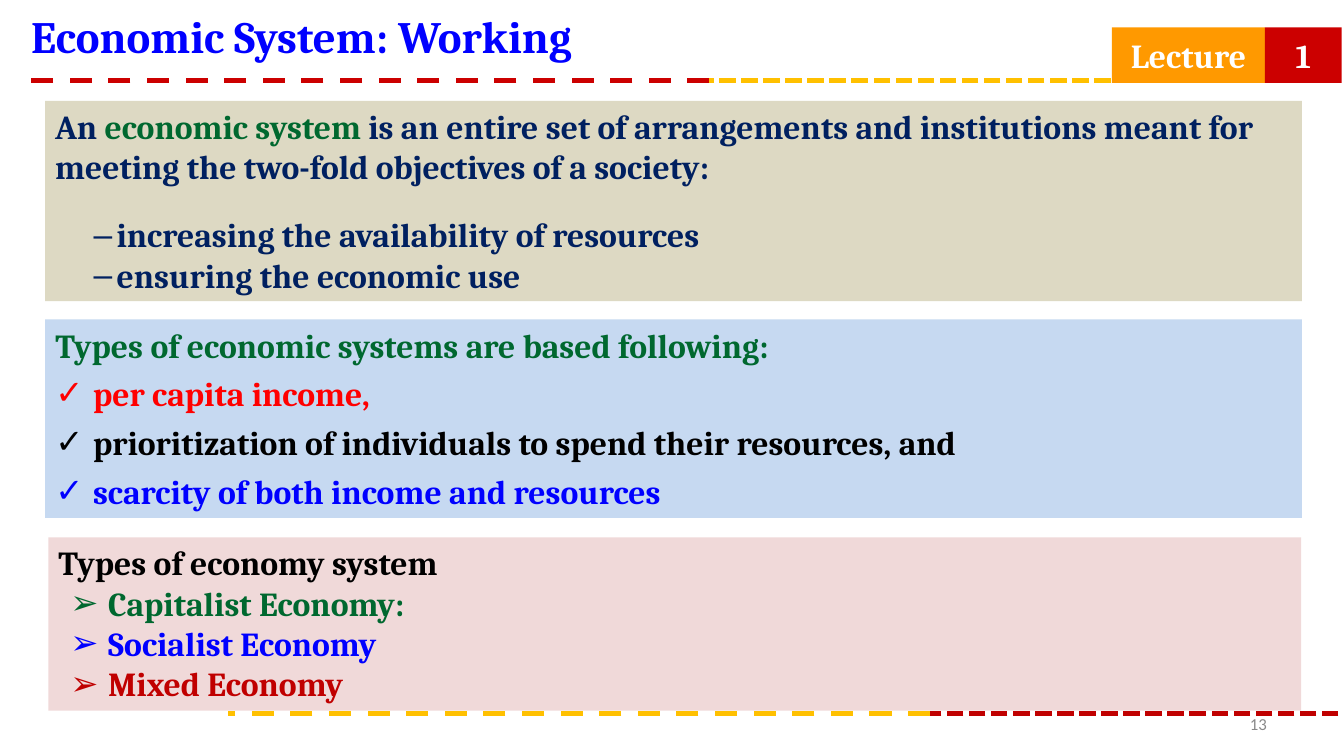
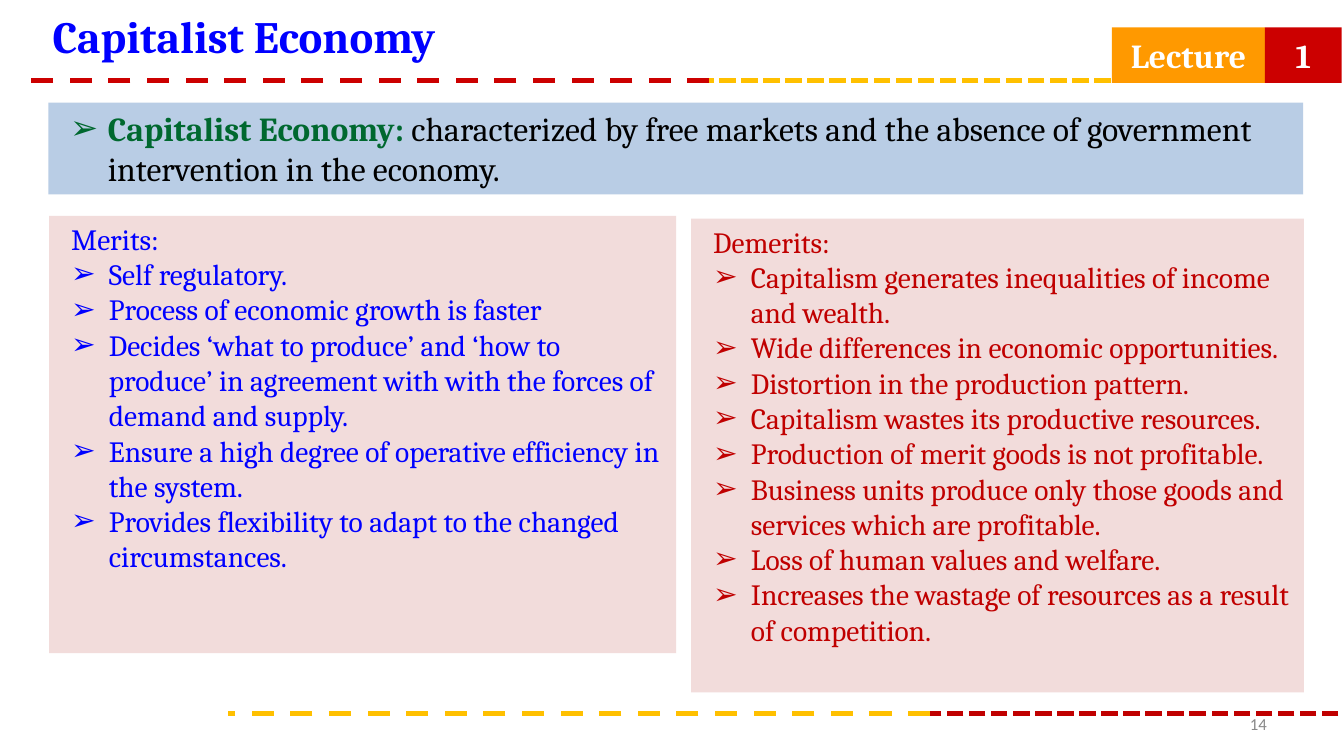
"""Build two lecture slides on economic systems."""
from dataclasses import dataclass

from lxml.etree import SubElement
from pptx import Presentation
from pptx.dml.color import RGBColor
from pptx.enum.dml import MSO_LINE
from pptx.enum.shapes import MSO_CONNECTOR, MSO_SHAPE
from pptx.enum.text import MSO_ANCHOR as Anchor, MSO_AUTO_SIZE, PP_ALIGN as Align
from pptx.oxml.ns import qn
from pptx.util import Cm, Pt


@dataclass(frozen=True)
class Theme:
    """Colours, fonts and type sizes shared by the slides."""
    blue: str = "0000FF"
    green: str = "00682F"
    navy: str = "002060"
    red: str = "FF0000"
    crimson: str = "CC0000"
    dark_red: str = "C00000"
    orange: str = "FF9900"
    gold: str = "FFC000"
    black: str = "000000"
    white: str = "FFFFFF"
    grey: str = "898989"
    sand: str = "DDD9C3"
    pale_blue: str = "C6D9F1"
    sky: str = "B9CDE5"
    pink: str = "F0D9D9"
    rose: str = "F2DCDB"
    font: str = "Cambria"
    number_font: str = "Calibri"
    title_size: float = 32
    text_size: float = 24
    list_size: float = 21
    number_size: float = 12
    rule_width: float = 3.94


@dataclass(frozen=True)
class Marker:
    """Bullet character with its text indent and hanging width in centimetres."""
    char: str = ""
    left: float = 0
    hang: float = 0


@dataclass(frozen=True)
class Line:
    """One paragraph: spans of (text, colour, bold), a marker and space before."""
    spans: tuple
    marker: Marker = Marker()
    before: float = 0


THEME = Theme()
LABEL = Marker(left=0.3)
CHECK = Marker("✓", 0.95, 0.95)
ARROW = Marker("➢", 1.25, 0.95)
DASH = Marker("–", 1.55, 0.58)


def colour(code):
    """Return the colour object for a hex code."""
    return RGBColor.from_string(code)


def plain(text, code, marker=Marker(), bold=True, before=0):
    """Return a line made of a single span."""
    return Line(((text, code, bold),), marker, before)


def format_span(span, size, code, bold=False, font=THEME.font):
    """Set the type of a run."""
    span.font.name = font
    span.font.size = Pt(size)
    span.font.bold = bold
    span.font.color.rgb = colour(code)


def format_marker(para, marker):
    """Set the indent and bullet of a paragraph."""
    props = para._p.get_or_add_pPr()
    props.set("marL", str(Cm(marker.left)))
    props.set("indent", str(-Cm(marker.hang)))
    if marker.char:
        SubElement(props, qn("a:buFont")).set("typeface", "Arial")
        SubElement(props, qn("a:buChar")).set("char", marker.char)
    else:
        SubElement(props, qn("a:buNone"))


def place(shape, left, top, width, height):
    """Move and size a shape, in centimetres."""
    shape.left, shape.top = Cm(left), Cm(top)
    shape.width, shape.height = Cm(width), Cm(height)


def fill_shape(shape, code):
    """Give a shape a solid fill."""
    shape.fill.solid()
    shape.fill.fore_color.rgb = colour(code)


def prepare_frame(shape, anchor=Anchor.TOP):
    """Return the wrapped text frame of a shape with a fixed size."""
    frame = shape.text_frame
    frame.word_wrap = True
    frame.auto_size = MSO_AUTO_SIZE.NONE
    frame.vertical_anchor = anchor
    return frame


def write_panel(shape, area, fill, lines, size=THEME.text_size):
    """Turn a text box or body placeholder into a filled panel of lines."""
    place(shape, *area)
    fill_shape(shape, fill)
    frame = prepare_frame(shape)
    for index, line in enumerate(lines):
        para = frame.add_paragraph() if index else frame.paragraphs[0]
        para.alignment = Align.LEFT
        para.line_spacing = 1.0
        para.space_before = Pt(line.before)
        format_marker(para, line.marker)
        for text, code, bold in line.spans:
            span = para.add_run()
            span.text = text
            format_span(span, size, code, bold)


def add_panel(page, area, fill, lines):
    """Add a text box panel."""
    box = page.shapes.add_textbox(0, 0, 0, 0)
    write_panel(box, area, fill, lines)


def write_title(page, text, left):
    """Fill and place the title placeholder."""
    title = page.shapes.title
    place(title, left, 0.08, 25.48, 1.63)
    frame = prepare_frame(title)
    frame.text = text
    para = frame.paragraphs[0]
    para.alignment = Align.LEFT
    format_span(para.runs[0], THEME.title_size, THEME.blue, True)


def add_rule(page, start, end, top, code, dash):
    """Add a dashed horizontal line."""
    rule = page.shapes.add_connector(
        MSO_CONNECTOR.STRAIGHT, Cm(start), Cm(top), Cm(end), Cm(top))
    rule.line.color.rgb = colour(code)
    rule.line.width = Pt(THEME.rule_width)
    rule.line.dash_style = dash
    SubElement(rule._element.spPr, qn("a:effectLst"))


def add_tag(page, text, left, width, fill):
    """Add one coloured block of the lecture tag."""
    tag = page.shapes.add_shape(
        MSO_SHAPE.RECTANGLE, Cm(left), Cm(0.69), Cm(width), Cm(1.4))
    tag.shadow.inherit = False
    tag.line.fill.background()
    fill_shape(tag, fill)
    frame = prepare_frame(tag, Anchor.MIDDLE)
    frame.text = text
    frame.paragraphs[0].alignment = Align.CENTER
    format_span(frame.paragraphs[0].runs[0], THEME.text_size, THEME.white, True)


def add_number(page, number):
    """Add the page number."""
    box = page.shapes.add_textbox(Cm(24.28), Cm(17.83), Cm(7.9), Cm(0.84))
    frame = prepare_frame(box, Anchor.MIDDLE)
    frame.text = str(number)
    frame.paragraphs[0].alignment = Align.RIGHT
    format_span(frame.paragraphs[0].runs[0], THEME.number_size, THEME.grey,
                font=THEME.number_font)


def add_page(deck, title, title_left, number):
    """Add a slide with the shared title, rules, tag and number."""
    page = deck.slides.add_slide(deck.slide_layouts.get_by_name("Two Content"))
    write_title(page, title, title_left)
    add_rule(page, 17.88, 0.53, 2.03, THEME.crimson, MSO_LINE.DASH)
    add_rule(page, 27.99, 17.88, 2.03, THEME.gold, MSO_LINE.SQUARE_DOT)
    add_rule(page, 23.44, 5.74, 17.98, THEME.gold, MSO_LINE.DASH)
    add_rule(page, 33.73, 23.44, 17.98, THEME.dark_red, MSO_LINE.SQUARE_DOT)
    add_tag(page, "Lecture", 28.02, 3.86, THEME.orange)
    add_tag(page, "1", 31.88, 1.93, THEME.crimson)
    add_number(page, number)
    return page


def build_system_page(deck):
    """Build the slide on how an economic system works."""
    page = add_page(deck, "Economic System: Working", 0.53, 13)
    add_panel(page, (1.14, 2.54, 31.67, 5.05), THEME.sand, [
        Line((("An ", THEME.navy, True),
              ("economic system ", THEME.green, True),
              ("is an entire set of arrangements and institutions meant for "
               "meeting the two-fold objectives of a society:", THEME.navy, True))),
        plain("increasing the availability of resources", THEME.navy, DASH, before=20),
        plain("ensuring the economic use", THEME.navy, DASH),
    ])
    criteria = [
        ("per capita income,", THEME.red),
        ("prioritization of individuals to spend their resources, and", THEME.black),
        ("scarcity of both income and resources", THEME.blue),
    ]
    write_panel(
        page.placeholders[1], (1.14, 8.05, 31.67, 5), THEME.pale_blue,
        [plain("Types of economic systems are based following:", THEME.green)]
        + [plain(text, code, CHECK, before=6) for text, code in criteria])
    kinds = [
        ("Capitalist Economy:", THEME.green),
        ("Socialist Economy", THEME.blue),
        ("Mixed Economy", THEME.dark_red),
    ]
    write_panel(
        page.placeholders[2], (1.22, 13.54, 31.57, 4.37), THEME.pink,
        [plain("Types of economy system", THEME.black)]
        + [plain(text, code, ARROW) for text, code in kinds])


def write_points(shape, area, heading, points, code):
    """Write a headed list in one colour."""
    lines = [plain(heading, code, LABEL, bold=False)]
    lines += [plain(point, code, ARROW, bold=False) for point in points]
    write_panel(shape, area, THEME.rose, lines, THEME.list_size)


def build_capitalist_page(deck):
    """Build the slide on the merits and demerits of capitalism."""
    page = add_page(deck, "Capitalist Economy", 1.07, 14)
    add_panel(page, (1.22, 2.59, 31.62, 2.31), THEME.sky, [
        Line((("Capitalist Economy: ", THEME.green, True),
              ("characterized by free markets and the absence of government "
               "intervention in the economy.", THEME.black, False)), ARROW),
    ])
    write_points(page.placeholders[1], (1.24, 5.44, 15.8, 11.02), "Merits:", [
        "Self regulatory.",
        "Process of economic growth is faster",
        "Decides ‘what to produce’ and ‘how to produce’ in agreement with "
        "with the forces of demand and supply.",
        "Ensure a high degree of operative efficiency in the system.",
        "Provides flexibility to adapt to the changed circumstances.",
    ], THEME.blue)
    write_points(page.placeholders[2], (17.42, 5.51, 15.44, 11.94), "Demerits:", [
        "Capitalism generates inequalities of income and wealth.",
        "Wide differences in economic opportunities.",
        "Distortion in the production pattern.",
        "Capitalism wastes its productive resources.",
        "Production of merit goods is not profitable.",
        "Business units produce only those goods and services which are profitable.",
        "Loss of human values and welfare.",
        "Increases the wastage of resources as a result of competition.",
    ], THEME.dark_red)


def main():
    """Build and save the deck."""
    deck = Presentation()
    deck.slide_width, deck.slide_height = Cm(33.87), Cm(19.05)
    build_system_page(deck)
    build_capitalist_page(deck)
    deck.save("out.pptx")


if __name__ == "__main__":
    main()
